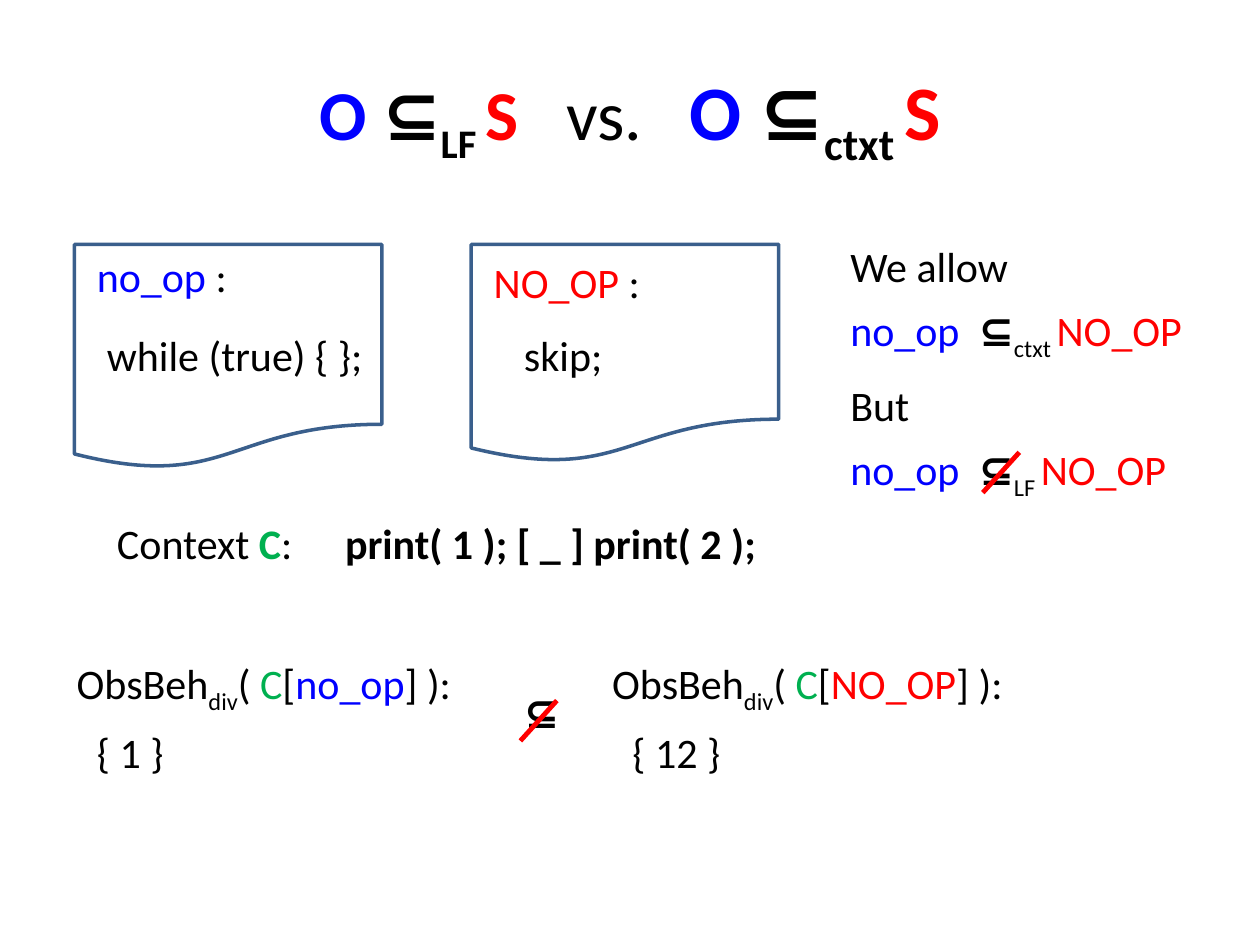
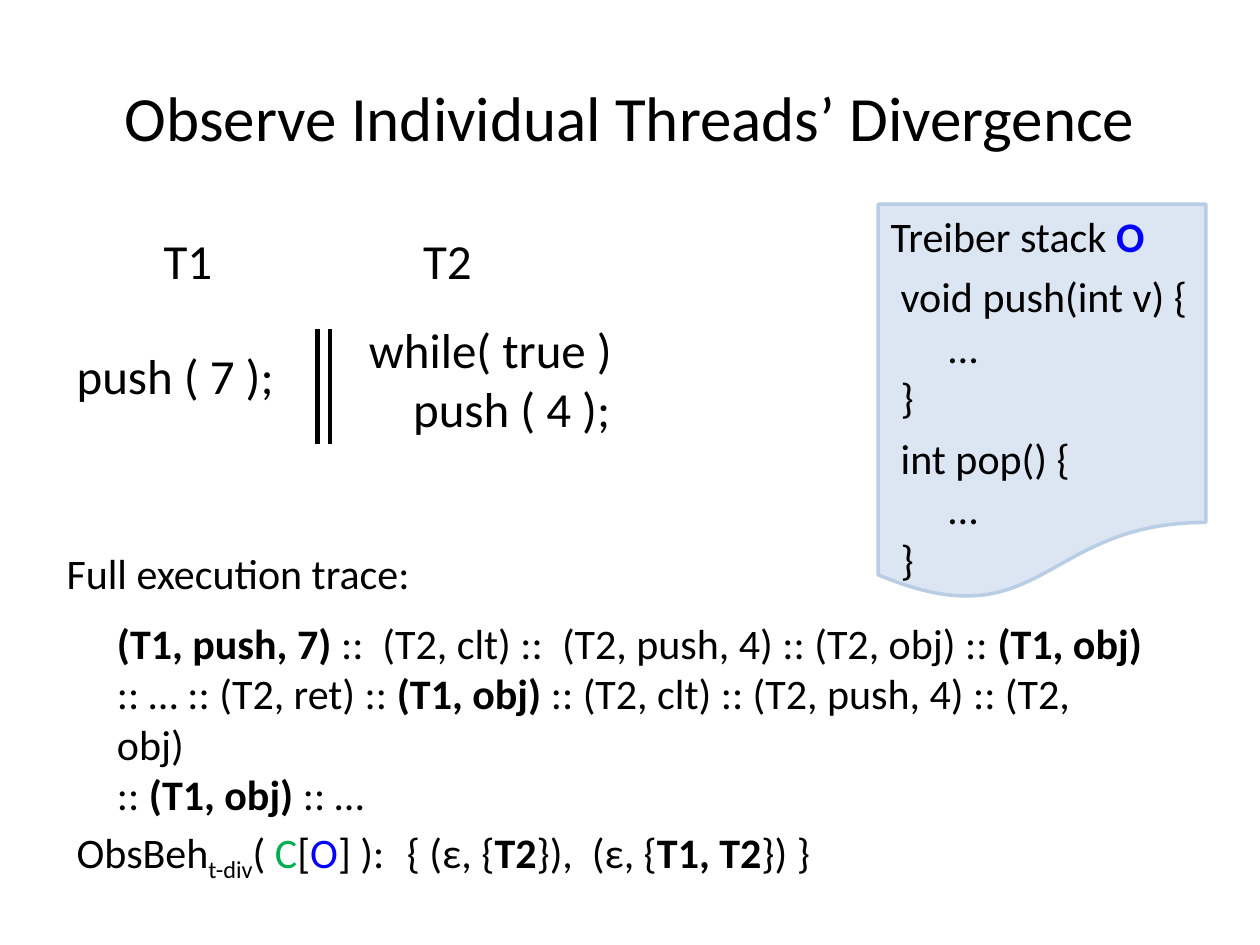
from dataclasses import dataclass
from pptx import Presentation
from pptx.dml.color import RGBColor
from pptx.enum.shapes import MSO_CONNECTOR, MSO_SHAPE
from pptx.enum.text import MSO_ANCHOR, MSO_AUTO_SIZE, PP_ALIGN
from pptx.oxml.ns import qn
from pptx.util import Inches, Pt
from lxml.etree import SubElement


@dataclass(frozen=True)
class Theme:
    font: str = "Calibri"
    black: str = "000000"
    blue: str = "0000FF"
    red: str = "FF0000"
    green: str = "00B050"
    edge: str = "3A5F8C"
    pale: str = "DCE6F2"
    rim: str = "B9CDE5"
    body: int = 24
    code: int = 28
    head: int = 36
    large: int = 40
    huge: int = 44
    tail: int = 32
    rule: float = 2.75
    frame: float = 2
    space: float = 0.226


class Deck:
    def __init__(self, theme):
        self.theme = theme
        self.prs = Presentation()
        self.prs.slide_width = Inches(10)
        self.prs.slide_height = Inches(7.5)
        self.col = self.prs.slide_width / 100
        self.row = self.prs.slide_height / 75
        self.slide = None

    def page(self):
        self.slide = self.prs.slides.add_slide(self.prs.slide_layouts[6])

    def place(self, x, y, w, h):
        return (int(x * self.col), int(y * self.row),
                int(w * self.col), int(h * self.row))

    def style(self, run, marks, size):
        names = {"b": "blue", "r": "red", "g": "green"}
        name = next((names[m] for m in marks if m in names), "black")
        font = run.font
        font.name = self.theme.font
        font.size = Pt(size)
        font.bold = "*" in marks
        font.color.rgb = RGBColor.from_string(getattr(self.theme, name))
        props = font._element
        if "_" in marks:
            props.set("baseline", "-25000")
        if "+" in marks:
            extra = marks.count("+") * size * self.theme.space
            props.set("spc", str(round(extra * 100)))

    def text(self, x, y, w, h, *lines, size=None, wrap=True, indent=None, lead=None):
        box = self.slide.shapes.add_textbox(*self.place(x, y, w, h))
        frame = box.text_frame
        frame.word_wrap = wrap
        frame.auto_size = MSO_AUTO_SIZE.SHAPE_TO_FIT_TEXT
        for i, line in enumerate(lines):
            para = frame.add_paragraph() if i else frame.paragraphs[0]
            self.fill(para, line, size or self.theme.body)
            if i in (indent or {}):
                para._p.get_or_add_pPr().set("marL", str(int(indent[i] * self.col)))
            if i in (lead or {}):
                para.space_before = Pt(lead[i])
        return box

    def fill(self, para, line, size):
        parts = [(line, "")] if isinstance(line, str) else line
        for words, marks, *own in parts:
            run = para.add_run()
            run.text = words
            self.style(run, marks, own[0] if own else size)

    def title(self, line, size):
        box = self.text(5, 3, 90, 12.5, line, size=size)
        frame = box.text_frame
        frame.auto_size = MSO_AUTO_SIZE.NONE
        frame.vertical_anchor = MSO_ANCHOR.MIDDLE
        frame.paragraphs[0].alignment = PP_ALIGN.CENTER

    def sheet(self, x, y, w, h, edge, fill=None):
        shape = self.slide.shapes.add_shape(
            MSO_SHAPE.FLOWCHART_DOCUMENT, *self.place(x, y, w, h))
        shape.shadow.inherit = False
        shape.line.color.rgb = RGBColor.from_string(edge)
        shape.line.width = Pt(self.theme.frame)
        if fill:
            shape.fill.solid()
            shape.fill.fore_color.rgb = RGBColor.from_string(fill)
        else:
            shape.fill.background()

    def line(self, x, y, dx, dy, color):
        ends = self.place(x, y, x + dx, y + dy)
        line = self.slide.shapes.add_connector(MSO_CONNECTOR.STRAIGHT, *ends)
        line.line.color.rgb = RGBColor.from_string(color)
        line.line.width = Pt(self.theme.rule)
        SubElement(line._element.spPr, qn("a:effectLst"))

    def strike(self, x, y):
        self.line(x, y, -2.9, 3.2, self.theme.red)

    def claim(self, y, lead, order):
        self.text(66.5, y, 29.1, 10.4, lead, [
            ("no_op", "b"), (" ", "b+"), ("⊆", "*"), (order + " ", "_"),
            ("NO_OP", "r"), (" ", "", self.theme.tail)])

    def watch(self, x, y, w, kind, name, mark):
        self.text(x, y, w, 5, [
            ("ObsBeh", ""), (kind, "_"), ("( ", ""), ("C", "g"),
            ("[", ""), (name, mark), ("] ):", "")])


theme = Theme()
deck = Deck(theme)

deck.page()
deck.title([
    ("O ", "b*"), ("⊆", "*"), ("LF ", "*_"), ("S", "r*"), (" ", "++"),
    ("vs.", ""), (" ", "++"), ("O ", "b*", theme.huge),
    ("⊆", "*", theme.huge), ("ctxt ", "*_", theme.huge),
    ("S", "r*", theme.huge)], theme.large)
deck.sheet(5.9, 19.4, 24.4, 17.8, theme.edge)
deck.sheet(37.4, 19.4, 24.4, 17.3, theme.edge)
deck.text(6.7, 19.4, 12.6, 5, [("no_op ", "b"), (":", "")])
deck.text(7.5, 25.7, 22.8, 5, "while (true) { };")
deck.text(38.2, 19.9, 19.5, 5, [("NO_OP ", "r"), (":", "")])
deck.text(40.6, 25.7, 12.6, 5, "skip;")
deck.claim(18.6, "We allow ", "ctxt")
deck.claim(29.6, "But ", "LF")
deck.strike(80.9, 35.9)
deck.text(8.3, 40.6, 48.8, 5, [("Context ", ""), ("C", "g*"), (":", "")])
deck.text(26.4, 40.6, 35.7, 5, [("print( 1 ); [ _ ] print( 2 );", "*")])
for x, w, name, mark, result in (
        (5.1, 32.3, "no_op", "b", "{ 1 }"),
        (47.6, 34.6, "NO_OP", "r", "{ 12 }")):
    deck.watch(x, 51.7, w, "div", name, mark)
    deck.text(x + 1.6, 57.2, 17.9, 5, result)
deck.text(40.6, 54, 5.5, 5, [("⊆", "*")])
deck.strike(44.2, 55.6)

deck.page()
deck.title("Observe Individual Threads’ Divergence", theme.head)
deck.sheet(69.7, 16.2, 26, 31.5, theme.rim, theme.pale)
deck.text(70.5, 21, 26, 26.1, "void push(int v) { ", "… ", "}",
          "int pop() { ", "… ", "}", indent={1: 3.8, 4: 3.8}, lead={3: 6})
deck.text(69.7, 16.2, 22.3, 5, [("Treiber stack ", ""), ("O", "b*")], wrap=False)
deck.watch(5.1, 65.1, 32.3, "t-div", "O", "b")
deck.text(31.3, 65.1, 35.2, 5, [
    ("{ (ε, {", ""), ("T2", "*"), ("}),", ""), (" ", "+"), ("(ε, {", ""),
    ("T1, T2", "*"), ("}) }", "")])
for x, name in ((12, "T1"), (32.6, "T2")):
    deck.text(x, 17.8, 6.5, 5.7, name, size=theme.code)
deck.text(5.1, 26.9, 18.7, 5.7, "push ( 7 );", size=theme.code)
deck.text(28.3, 24.9, 24.9, 10.4, "while( true )", "push ( 4 );",
          size=theme.code, indent={1: 3.5})
for x in (25.2, 26.2):
    deck.line(x, 26.15, 0, 9.1, theme.black)
deck.text(4.3, 43, 29.5, 5, "Full execution trace:", wrap=False)
step = ("(T1, obj) ", "*")
deck.text(
    8.3, 48.5, 83.5, 13.1,
    [("(T1, push, 7) ", "*"), ("::", ""), (" ", "+"), ("(T2, clt) ::", ""),
     (" ", "+"), ("(T2, push, 4) :: (T2, obj) :: ", ""), step],
    [(":: … :: (T2, ret) :: ", ""), step,
     (":: (T2, clt) :: (T2, push, 4) :: (T2, obj) ", "")],
    [(":: ", ""), step, (":: …", "")])

deck.prs.save("out.pptx")
